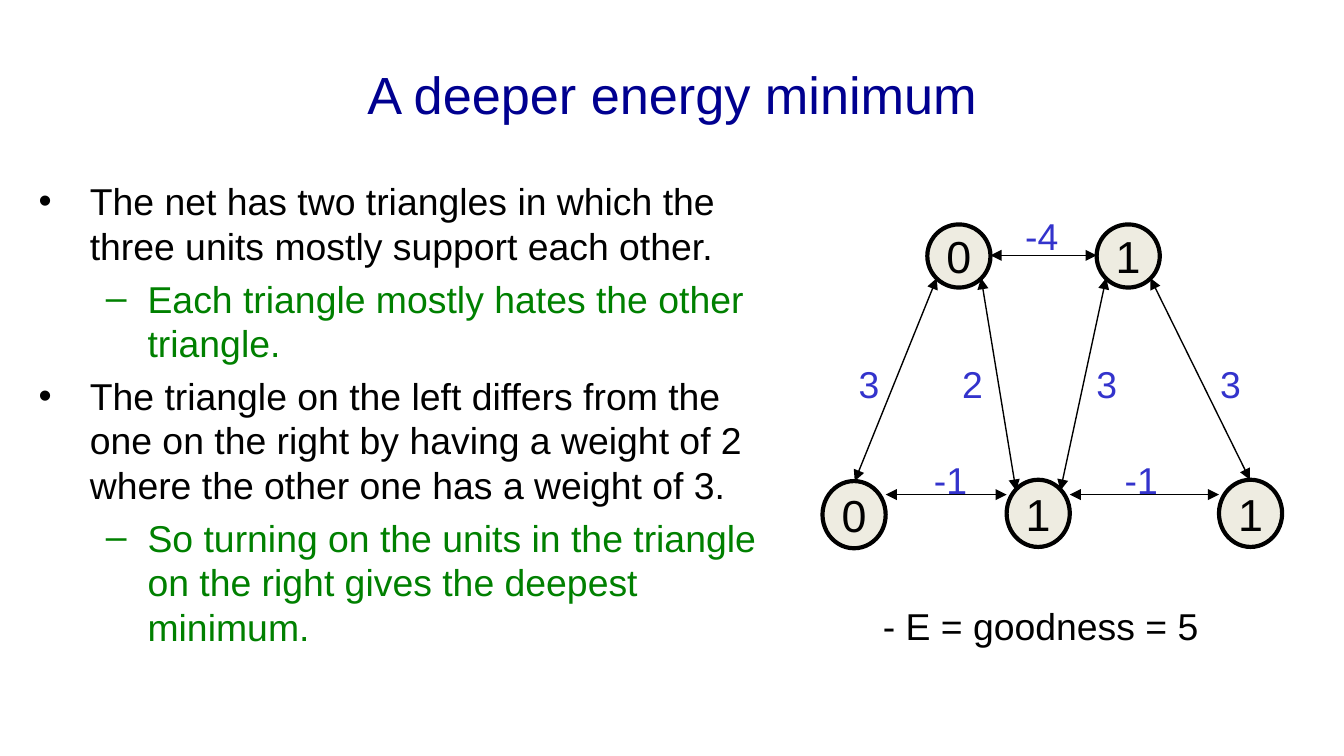
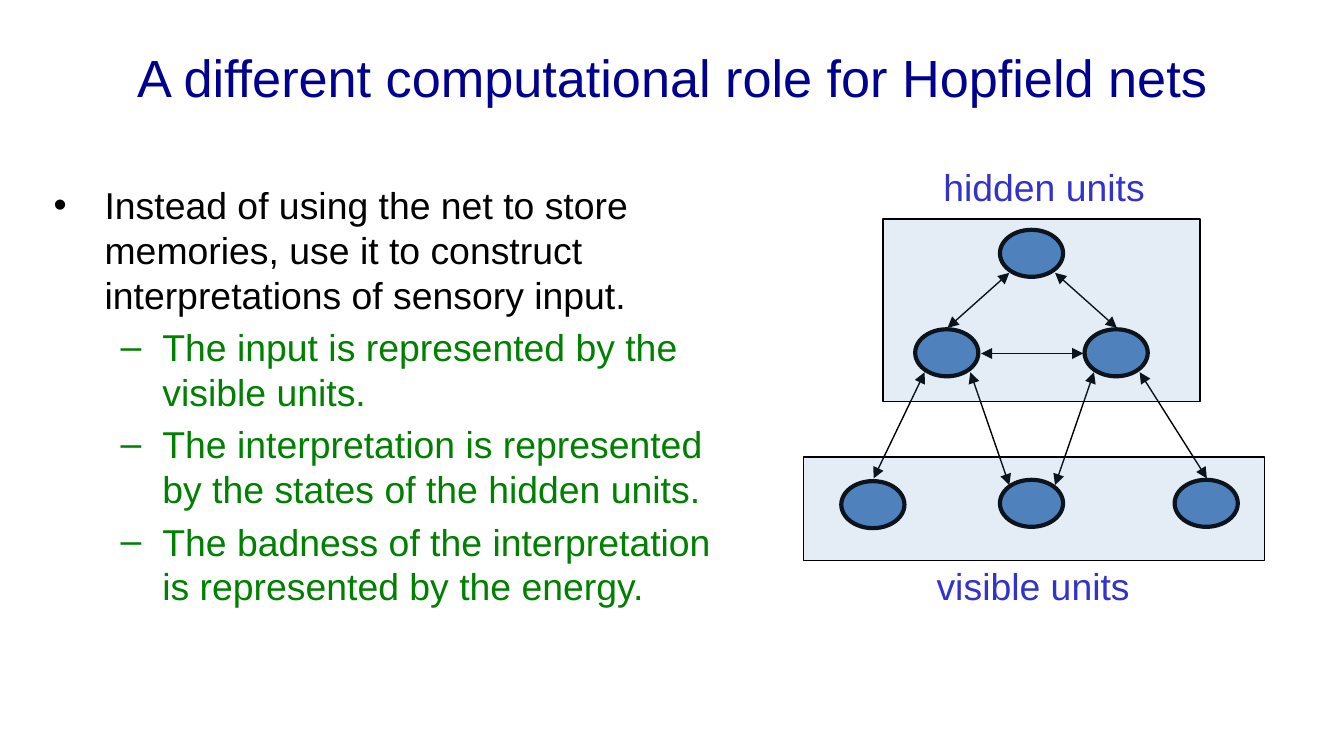
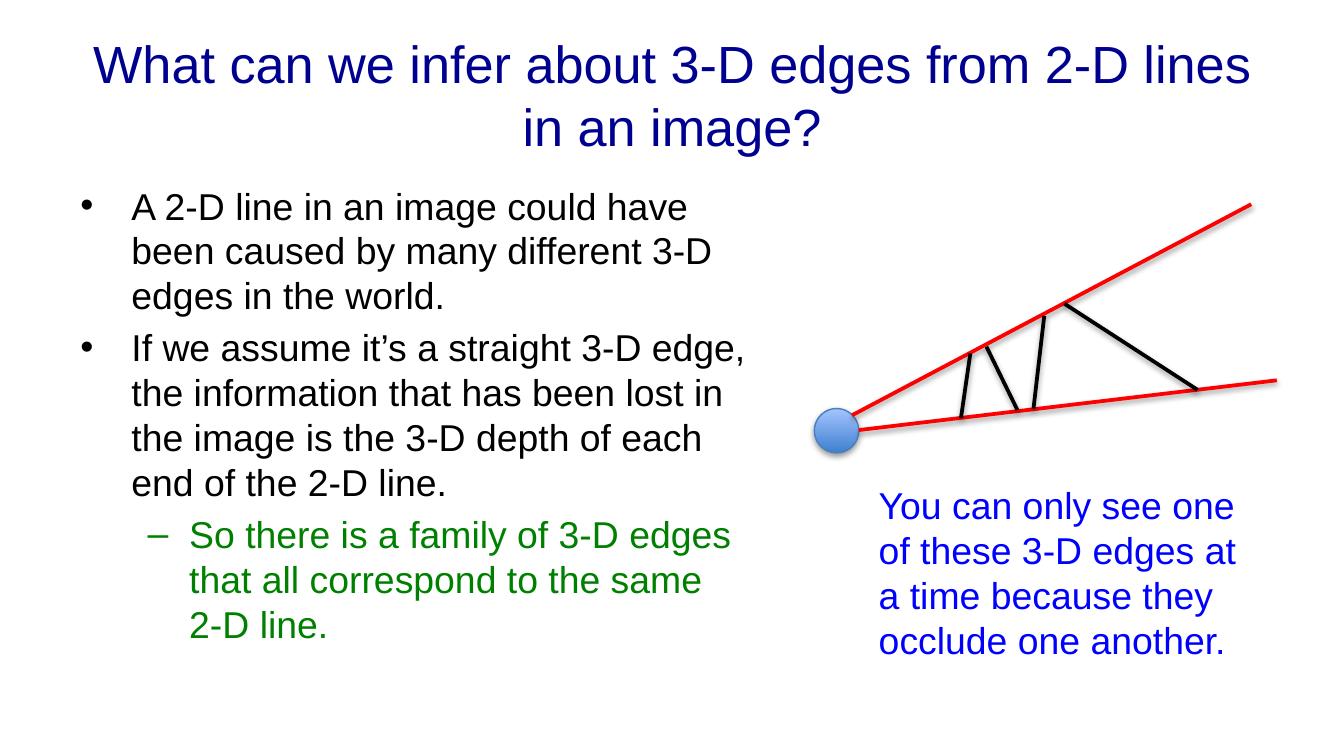
from lxml.etree import SubElement
from pptx import Presentation
from pptx.dml.color import RGBColor
from pptx.enum.shapes import MSO_CONNECTOR, MSO_SHAPE
from pptx.enum.text import MSO_ANCHOR as ANCHOR, PP_ALIGN as ALIGN
from pptx.oxml.ns import qn
from pptx.util import Inches, Pt

rgb = RGBColor.from_string
FONT = "Arial"
BLACK, NAVY, GREEN, LABEL = "000000", "000090", "008000", "3333CC"
CREAM, STEEL, RED, BLUE = "EEECE1", "4F81BD", "FF0000", "0000FF"
# Per outline level: bullet, left margin, hanging indent, colour
LEVELS = [("•", 0.38, -0.38, BLACK), ("–", 0.81, -0.31, GREEN)]


def write(sp, *paras, size=20, color=BLACK, align=ALIGN.LEFT, anchor=ANCHOR.TOP):
    """Fill a shape with paragraphs: plain strings, or (level, text) for bullets."""
    tf = sp.text_frame
    tf.word_wrap = True
    tf.vertical_anchor = anchor
    for i, para in enumerate(paras):
        p = tf.add_paragraph() if i else tf.paragraphs[0]
        p.alignment = align
        text, ink = para, color
        if isinstance(para, tuple):
            level, text = para
            char, margin, indent, ink = LEVELS[level]
            p.level = level
            pPr = p._p.get_or_add_pPr()
            pPr.set("marL", str(Inches(margin)))
            pPr.set("indent", str(Inches(indent)))
            SubElement(pPr, qn("a:buFont"), typeface=FONT)
            SubElement(pPr, qn("a:buChar"), char=char)
            if i:
                p.space_before = Pt(4)
        for n, line in enumerate(text.split("\n")):
            if n:
                p.add_line_break()
            r = p.add_run()
            r.text = line
            r.font.name, r.font.size = FONT, Pt(size)
            r.font.color.rgb = rgb(ink)


def add_line(s, start, end, color=BLACK, width=0.75, arrows=False):
    c = s.shapes.add_connector(MSO_CONNECTOR.STRAIGHT, *map(Inches, start + end))
    c.line.color.rgb = rgb(color)
    c.line.width = Pt(width)
    spPr = c._element.spPr
    if arrows:
        for tag in ("a:headEnd", "a:tailEnd"):
            SubElement(spPr.find(qn("a:ln")), qn(tag), type="triangle")
    SubElement(spPr, qn("a:effectLst"))


prs = Presentation()
prs.slide_width = Inches(10)
prs.slide_height = prs.slide_width * 9 // 16

# Titles and bullet text: title, title top, body box, bullets
outlines = [
    ("A deeper energy minimum", 0.23, (0.19, 1.28, 5.57, 3.71), [
        (0, "The net has two triangles in which the three units mostly support each other."),
        (1, "Each triangle mostly hates the other triangle."),
        (0, "The triangle on the left differs from the one on the right by having "
            "a weight of 2 where the other one has a weight of 3."),
        (1, "So turning on the units in the triangle on the right gives the deepest minimum."),
    ]),
    ("A different computational role for Hopfield nets", 0.1, (0.3, 1.31, 5.18, 3.1), [
        (0, "Instead of using the net to store memories, use it to construct "
            "interpretations of sensory input."),
        (1, "The input is represented by the visible units."),
        (1, "The interpretation is represented by the states of the hidden units."),
        (1, "The badness of the interpretation is represented by the energy."),
    ]),
    ("What can we infer about 3-D edges from 2-D lines in an image?", 0.23,
     (0.5, 1.31, 5.24, 3.71), [
        (0, "A 2-D line in an image could have been caused by many different "
            "3-D edges in the world."),
        (0, "If we assume it’s a straight 3-D edge, the information that has been "
            "lost in the image is the 3-D depth of each end of the 2-D line."),
        (1, "So there is a family of 3-D edges that all correspond to the same\n2-D line."),
    ]),
]
slides = []
for title, top, body_box, bullets in outlines:
    s = prs.slides.add_slide(prs.slide_layouts[6])
    write(s.shapes.add_textbox(*map(Inches, (0.5, top, 9, 0.94))), title,
          size=28, color=NAVY, align=ALIGN.CENTER, anchor=ANCHOR.MIDDLE)
    write(s.shapes.add_textbox(*map(Inches, body_box)), *bullets)
    slides.append(s)
energy, roles, edges = slides

# Networks: slide, unit fill, units (left, top, height, state), links
nets = [
    (energy, CREAM,
     [(6.12, 3.58, 0.5, "0"), (7.49, 3.57, 0.5, "1"), (9.07, 3.57, 0.5, "1"),
      (8.16, 1.67, 0.47, "1"), (6.9, 1.67, 0.47, "0")],
     [((6.59, 3.68), (7.49, 3.68)), ((7.96, 3.68), (9.07, 3.68)),
      ((6.36, 3.58), (6.97, 2.07)), ((7.37, 1.9), (8.16, 1.9)),
      ((7.3, 2.07), (7.56, 3.65)), ((7.89, 3.65), (8.23, 2.07)),
      ((8.56, 2.07), (9.3, 3.57))]),
    (roles, STEEL,
     [(6.26, 3.58, 0.35, ""), (7.44, 3.57, 0.35, ""), (8.74, 3.57, 0.35, ""),
      (8.07, 2.45, 0.35, ""), (6.81, 2.45, 0.35, ""), (7.44, 1.71, 0.35, "")],
     [((7.05, 2.44), (7.51, 2.03)), ((7.85, 2.03), (8.31, 2.44)),
      ((6.5, 3.56), (6.88, 2.77)), ((7.3, 2.63), (8.06, 2.63)),
      ((7.22, 2.77), (7.51, 3.61)), ((7.85, 3.61), (8.14, 2.77)),
      ((8.48, 2.77), (8.98, 3.56))]),
]
for s, fill, units, links in nets:
    for left, top, height, state in units:
        unit = s.shapes.add_shape(MSO_SHAPE.OVAL, *map(Inches, (left, top, 0.47, height)))
        unit.shadow.inherit = False
        unit.fill.solid()
        unit.fill.fore_color.rgb = rgb(fill)
        unit.line.color.rgb = rgb(BLACK)
        unit.line.width = Pt(2.25)
        if state:
            tf = unit.text_frame
            tf.margin_left = tf.margin_right = tf.margin_top = tf.margin_bottom = 0
            write(unit, state, size=24, align=ALIGN.CENTER, anchor=ANCHOR.MIDDLE)
    for start, end in links:
        add_line(s, start, end, arrows=True)

# Translucent frames around the visible and the hidden layer
for box in [(5.98, 3.4, 3.43, 0.77), (6.57, 1.63, 2.36, 1.36)]:
    layer = roles.shapes.add_shape(MSO_SHAPE.RECTANGLE, *map(Inches, box))
    layer.shadow.inherit = False
    layer.fill.solid()
    layer.fill.fore_color.rgb = rgb(STEEL)
    tint = layer._element.spPr.find(qn("a:solidFill")).find(qn("a:srgbClr"))
    SubElement(tint, qn("a:alpha"), val="15000")
    layer.line.color.rgb = rgb(BLACK)
    layer.line.width = Pt(0.75)

# Weights, layer names and captions: slide, left, top, width, text, colour
labels = [
    (energy, 6.29, 2.64, 0.4, "3", LABEL), (energy, 7.06, 2.64, 0.4, "2", LABEL),
    (energy, 8.06, 2.64, 0.4, "3", LABEL), (energy, 8.98, 2.64, 0.4, "3", LABEL),
    (energy, 6.85, 3.35, 0.55, "-1", LABEL), (energy, 8.27, 3.35, 0.55, "-1", LABEL),
    (energy, 7.53, 1.54, 0.79, "-4", LABEL),
    (energy, 6.47, 4.44, 2.83, "- E = goodness = 5", BLACK),
    (roles, 6.87, 4.14, 1.85, "visible units", LABEL),
    (roles, 6.92, 1.17, 1.85, "hidden units", LABEL),
    (edges, 6.44, 3.54, 3.06, "You can only see one of these 3-D edges at a time "
                              "because they occlude one another.", BLUE),
]
for s, left, top, width, text, color in labels:
    height = 1.45 if s is edges else 0.44
    write(s.shapes.add_textbox(*map(Inches, (left, top, width, height))), text, color=color)

# Eye, lines of sight and the 3-D edges between them
eye = edges.shapes.add_shape(MSO_SHAPE.OVAL, *map(Inches, (6.06, 3.04, 0.33, 0.33)))
eye.shadow.inherit = False
eye.fill.gradient()
eye.fill.gradient_angle = 90
for stop, color in zip(eye.fill.gradient_stops, ("3F80CE", "A4C4FF")):
    stop.color.rgb = rgb(color)
eye.line.color.rgb = rgb("4B7EBC")
eye.line.width = Pt(0.75)
for start, end, color in [
    ((6.34, 3.09), (9.31, 1.52), RED), ((6.39, 3.2), (9.5, 2.83), RED),
    ((7.22, 2.63), (7.15, 3.11), BLACK), ((7.34, 2.58), (7.57, 3.05), BLACK),
    ((7.77, 2.35), (7.69, 3.04), BLACK), ((8.91, 2.9), (7.92, 2.26), BLACK),
]:
    add_line(edges, start, end, color=color, width=2)
for effects in edges.shapes._spTree.iter(qn("a:effectLst")):
    shadow = SubElement(effects, qn("a:outerShdw"), blurRad="40000", dist="20000",
                        dir="5400000", rotWithShape="0")
    SubElement(SubElement(shadow, qn("a:srgbClr"), val=BLACK), qn("a:alpha"), val="38000")

prs.save("out.pptx")
